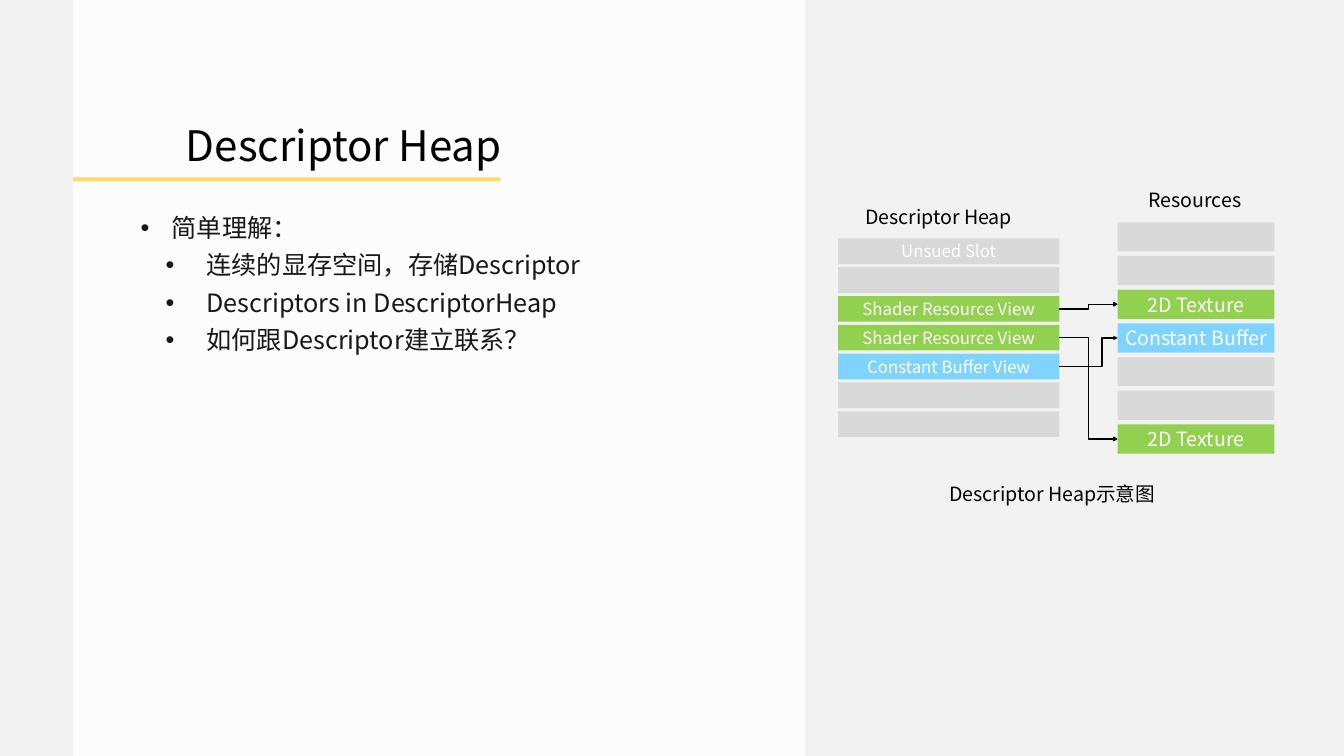
from lxml import etree
from pptx import Presentation
from pptx.dml.color import RGBColor
from pptx.enum.shapes import MSO_CONNECTOR, MSO_SHAPE
from pptx.enum.text import MSO_ANCHOR, PP_ALIGN
from pptx.oxml.ns import qn
from pptx.util import Emu, Pt

RECTANGLE = MSO_SHAPE.RECTANGLE
ELBOW = MSO_CONNECTOR.ELBOW
MIDDLE, TOP = MSO_ANCHOR.MIDDLE, MSO_ANCHOR.TOP
LEFT, CENTER = PP_ALIGN.LEFT, PP_ALIGN.CENTER

EMU_PER_PX = 9144
FONT = "Noto Sans CJK SC"
BLACK, WHITE, INK = "000000", "FFFFFF", "171717"
PAPER, GOLD = "F2F2F2", "FFD966"
GRAY, GREEN, BLUE = "D9D9D9", "92D050", "7FD4FF"
LEFT_SITE, RIGHT_SITE = 1, 3

BULLETS = [
    (0, "简单理解："),
    (1, "连续的显存空间，存储Descriptor"),
    (1, "Descriptors in DescriptorHeap"),
    (1, "如何跟Descriptor建立联系？"),
]
BULLET_INDENTS = [(62, -62), (131, -81)]
HEAP_SLOTS = [
    ("Unsued Slot", GRAY),
    ("", GRAY),
    ("Shader Resource View", GREEN),
    ("Shader Resource View", GREEN),
    ("Constant Buffer View", BLUE),
    ("", GRAY),
    ("", GRAY),
]
RESOURCES = [
    ("", GRAY),
    ("", GRAY),
    ("2D Texture", GREEN),
    ("Constant Buffer", BLUE),
    ("", GRAY),
    ("", GRAY),
    ("2D Texture", GREEN),
]
LINKS = [(2, 2, "arrow", 50000), (3, 6, "arrow", 50000), (4, 3, "triangle", 73100)]


def px(value):
    return Emu(round(value * EMU_PER_PX))


def color(hex_string):
    return RGBColor.from_string(hex_string)


def style_font(font, size, hex_string):
    font.size = Pt(size)
    font.color.rgb = color(hex_string)
    font.name = FONT
    properties = font._element
    for tag in ("a:ea", "a:cs"):
        etree.SubElement(properties, qn(tag), typeface=FONT)


def write_text(shape, text, size, hex_string, align=CENTER):
    frame = shape.text_frame
    frame.word_wrap = True
    frame.vertical_anchor = MIDDLE
    frame.margin_left = frame.margin_right = px(6)
    frame.margin_top = frame.margin_bottom = px(6)
    frame.text = text
    paragraph = frame.paragraphs[0]
    paragraph.alignment = align
    style_font(paragraph.runs[0].font, size, hex_string)
    return paragraph


def add_label(slide, box, text, size, align=CENTER):
    label = slide.shapes.add_textbox(*map(px, box))
    return write_text(label, text, size, BLACK, align)


def add_block(slide, box, fill):
    block = slide.shapes.add_shape(RECTANGLE, *map(px, box))
    block.shadow.inherit = False
    block.fill.solid()
    block.fill.fore_color.rgb = color(fill)
    block.line.fill.background()
    return block


def add_panel(slide, left, top, width, height):
    panel = add_block(slide, (left, top, width, height), WHITE)
    fill_color = panel._element.spPr.find(qn("a:solidFill"))[0]
    etree.SubElement(fill_color, qn("a:alpha"), val="80000")
    add_block(slide, (left, top + 352, 848, 8), GOLD)


def add_title(slide, left, top, width, height):
    box = (left, top, width, height)
    paragraph = add_label(slide, box, "Descriptor Heap", 60, LEFT)
    paragraph.line_spacing = 1.5
    paragraph._p.get_or_add_pPr().set("marL", str(px(100)))


def add_bullets(slide, left, top, width, height):
    frame = slide.shapes.add_textbox(*map(px, (left, top, width, height))).text_frame
    frame.word_wrap = True
    frame.vertical_anchor = TOP
    frame.text = "\n".join(text for _, text in BULLETS)
    for index, (level, _) in enumerate(BULLETS):
        paragraph = frame.paragraphs[index]
        paragraph.level = level
        paragraph.line_spacing = 0.9
        if index:
            paragraph.space_before = Pt(14.5)
        margin, indent = BULLET_INDENTS[level]
        properties = paragraph._p.get_or_add_pPr()
        properties.set("marL", str(px(margin)))
        properties.set("indent", str(px(indent)))
        etree.SubElement(properties, qn("a:buFont"), typeface="Arial")
        etree.SubElement(properties, qn("a:buChar"), char="•")
        style_font(paragraph.runs[0].font, 36, INK)


def add_column(slide, box, rows, row_height, size):
    left, top, width, height = box
    pitch = (height - row_height) / (len(rows) - 1)
    blocks = []
    for index, (text, fill) in enumerate(rows):
        block = add_block(slide, (left, top + index * pitch, width, row_height), fill)
        if text:
            write_text(block, text, size, WHITE)
        blocks.append(block)
    return blocks


def link_blocks(slide, source, target, head, bend):
    connector = slide.shapes.add_connector(ELBOW, 0, 0, 0, 0)
    connector.begin_connect(source, RIGHT_SITE)
    connector.end_connect(target, LEFT_SITE)
    connector.line.color.rgb = color(BLACK)
    connector.line.width = Pt(2)
    properties = connector._element.spPr
    adjustments = properties.find(qn("a:prstGeom")).find(qn("a:avLst"))
    etree.SubElement(adjustments, qn("a:gd"), name="adj1", fmla=f"val {bend}")
    etree.SubElement(properties.find(qn("a:ln")), qn("a:tailEnd"), type=head)
    etree.SubElement(properties, qn("a:effectLst"))


def add_heap_diagram(slide, left, top, width, height):
    heap_box = (left, top + 106, 439, 394)
    resource_box = (left + width - 311, top + 74, 311, 459)
    heap = add_column(slide, heap_box, HEAP_SLOTS, 51, 24)
    resources = add_column(slide, resource_box, RESOURCES, 58, 28)
    for slot, resource, head, bend in LINKS:
        link_blocks(slide, heap[slot], resources[resource], head, bend)
    add_label(slide, (left + 37, top + 34, 325, 58), "Descriptor Heap", 28)
    add_label(slide, (left + 563, top, 290, 58), "Resources", 28)
    caption_box = (left + 37, top + height - 58, 776, 58)
    add_label(slide, caption_box, "Descriptor Heap示意图", 28)


def main():
    presentation = Presentation()
    presentation.slide_width = px(2667)
    presentation.slide_height = px(1500)
    slide = presentation.slides.add_slide(presentation.slide_layouts[6])
    slide.background.fill.solid()
    slide.background.fill.fore_color.rgb = color(PAPER)
    add_panel(slide, 145, 0, 1452, 1500)
    add_bullets(slide, 269, 423, 1266, 414)
    add_title(slide, 263, 180, 1030, 163)
    add_heap_diagram(slide, 1663, 367, 866, 642)
    presentation.save("out.pptx")


if __name__ == "__main__":
    main()
